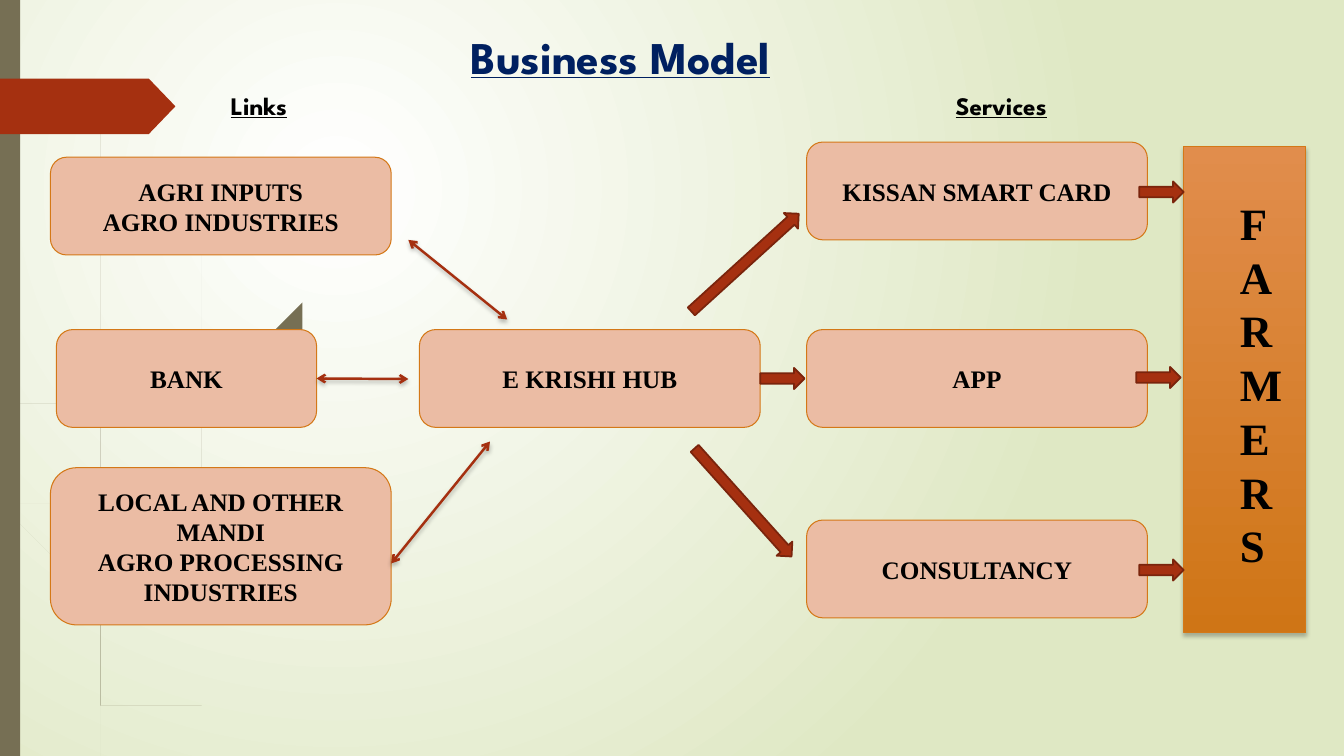
from lxml.etree import SubElement
from pptx import Presentation
from pptx.dml.color import RGBColor
from pptx.enum.shapes import MSO_CONNECTOR as Connector, MSO_SHAPE as Shape
from pptx.enum.text import MSO_ANCHOR as Anchor, PP_ALIGN as Align
from pptx.oxml.ns import qn
from pptx.util import Inches, Pt

COLORS = {
    "olive": "766F54", "rust": "A53010", "rust_edge": "7A240C", "navy": "002060",
    "black": "000000", "peach": "EBBCA4", "orange_edge": "D47817",
    "orange_top": "E18D4C", "orange_bottom": "CF7516",
    "white": "FFFFFF", "pale_green": "DFE8C4",
}
HEADING_FONT, BODY_FONT = "League Spartan", "Times New Roman"
BOX_WIDTH, BOX_HEIGHT = 3.38, 0.97
ARROW_WIDTH, ARROW_HEIGHT = 0.44, 0.21

# Each stem: points down its left edge, then points down its right edge
PALE_STEMS = [
    ([(0, 2.99), (0.11, 3.5), (0.28, 4.7), (0.65, 6.21), (0.92, 6.93), (1.14, 7.5)],
     [(0, 2.82), (0.09, 3.22), (0.17, 3.76), (0.31, 4.69), (0.7, 6.19), (0.93, 6.83),
      (1.05, 7.11), (1.24, 7.5)]),
    ([(0.14, 3.45), (0.17, 3.76), (0.58, 5.22), (0.84, 5.99), (1.23, 6.94), (1.5, 7.5)],
     [(0.14, 3.45), (0.62, 5.2), (0.92, 6.07), (1.27, 6.92), (1.55, 7.5)]),
    ([(3.12, 1.53), (2.68, 1.97), (2.28, 2.44), (1.58, 3.48), (1.07, 4.61), (0.85, 5.84),
      (0.87, 6.46), (0.93, 6.83), (1.05, 7.11)],
     [(3.12, 1.54), (2.68, 1.98), (2.29, 2.45), (1.6, 3.49), (1.1, 4.62), (0.88, 5.84),
      (0.91, 6.46), (1.05, 7.11)]),
]
DARK_STEMS = [
    ([(0.03, 0), (0.07, 1.1), (0.17, 2.33), (0.33, 3.55), (0.57, 4.77), (0.68, 5.57),
      (0.93, 6.59), (1.17, 7.22), (1.27, 7.49)],
     [(0.04, 0), (0.08, 1.09), (0.19, 2.32), (0.36, 3.55), (0.55, 4.53), (0.72, 5.56),
      (0.98, 6.57), (1.22, 7.19), (1.36, 7.49)]),
    ([(0.7, 1.41), (0.62, 1.93), (0.56, 2.45), (0.52, 3.49), (0.55, 4.49), (0.64, 5.05),
      (0.88, 5.92), (1.06, 6.45), (1.32, 7.08), (1.52, 7.49)],
     [(0.7, 1.41), (0.63, 1.93), (0.58, 2.45), (0.54, 3.49), (0.6, 4.72), (0.93, 5.9),
      (1.1, 6.41), (1.36, 7.06), (1.57, 7.49)]),
    ([(2.6, 3.44), (2.04, 4.05), (1.56, 4.74), (1.22, 5.51), (1.06, 6.31), (1.1, 6.91),
      (1.22, 7.19)],
     [(2.61, 3.44), (2.05, 4.06), (1.58, 4.76), (1.25, 5.52), (1.11, 6.33), (1.11, 6.56),
      (1.22, 7.19)]),
]


def rgb(name):
    return RGBColor.from_string(COLORS[name])


def set_text(frame, text, size=18, font=BODY_FONT, color="black", underline=False,
             align=Align.CENTER, anchor=Anchor.TOP, wrap=True):
    frame.word_wrap = wrap
    frame.vertical_anchor = anchor
    frame.text = text
    for paragraph in frame.paragraphs:
        paragraph.alignment = align
        style = paragraph.runs[0].font
        style.name, style.size = font, Pt(size)
        style.bold, style.underline = True, underline
        style.color.rgb = rgb(color)


def paint(shape, fill, line=None, line_width=0.75):
    shape.shadow.inherit = False
    shape.fill.solid()
    shape.fill.fore_color.rgb = rgb(fill)
    if line:
        shape.line.color.rgb = rgb(line)
        shape.line.width = Pt(line_width)
    else:
        shape.line.fill.background()


def paint_gradient(fill, start, end):
    fill.gradient()
    for stop, color, position in zip(fill.gradient_stops, (start, end), (0, 1)):
        stop.color.rgb = rgb(color)
        stop.position = position


def add_soft_shadow(properties):
    effects = properties.find(qn("a:effectLst"))
    if effects is None:
        effects = SubElement(properties, qn("a:effectLst"))
    shadow = SubElement(effects, qn("a:outerShdw"), blurRad="38100", dist="25400",
                        dir="5400000", rotWithShape="0")
    color = SubElement(shadow, qn("a:srgbClr"), val=COLORS["black"])
    SubElement(color, qn("a:alpha"), val="25000")


def add_preset(slide, kind, left, top, width, height):
    return slide.shapes.add_shape(kind, Inches(left), Inches(top), Inches(width), Inches(height))


def smooth(points, steps=8):
    """Return a Catmull-Rom curve through the points."""
    padded = [points[0], *points, points[-1]]
    curve = [points[0]]
    for a, b, c, d in zip(padded, padded[1:], padded[2:], padded[3:]):
        for step in range(1, steps + 1):
            t = step / steps
            curve.append(tuple(
                (2 * q + (r - p) * t + (2 * p - 5 * q + 4 * r - s) * t ** 2
                 + (3 * q - p - 3 * r + s) * t ** 3) / 2
                for p, q, r, s in zip(a, b, c, d)))
    return curve


def add_stem(slide, left_edge, right_edge, opacity=None):
    outline = smooth(left_edge) + smooth(right_edge)[::-1]
    builder = slide.shapes.build_freeform(*outline[0], scale=Inches(1))
    builder.add_line_segments(outline[1:], close=True)
    stem = builder.convert_to_shape()
    paint(stem, "olive")
    if opacity:
        color = stem.element.spPr.find(qn("a:solidFill")).find(qn("a:srgbClr"))
        SubElement(color, qn("a:alpha"), val=str(opacity * 1000))


def add_backdrop(slide):
    paint_gradient(slide.background.fill, "white", "pale_green")
    linear = next(slide.element.iter(qn("a:lin")))
    gradient = linear.getparent()
    gradient.remove(linear)
    circle = SubElement(gradient, qn("a:path"), path="circle")
    SubElement(circle, qn("a:fillToRect"), l="50000", t="50000", r="100000", b="100000")
    for edges in PALE_STEMS:
        add_stem(slide, *edges, opacity=20)
    for edges in DARK_STEMS:
        add_stem(slide, *edges)
    paint(add_preset(slide, Shape.RECTANGLE, 0, 0, 0.2, 7.5), "olive")
    tag = add_preset(slide, Shape.PENTAGON, 0, 0.78, 1.74, 0.55)
    tag.adjustments[0] = 0.48
    paint(tag, "rust")


def add_text_box(slide, text, left, top, width, height, **style):
    box = slide.shapes.add_textbox(Inches(left), Inches(top), Inches(width), Inches(height))
    set_text(box.text_frame, text, **style)


def add_headings(slide):
    title = slide.shapes.title
    title.left, title.top = Inches(1.28), Inches(0.24)
    title.width, title.height = Inches(9.75), Inches(0.61)
    set_text(title.text_frame, "Business Model", size=32.4, font=HEADING_FONT,
             color="navy", underline=True)
    for text, left, width in (("Links", 2.19, 0.78), ("Services", 9.38, 1.21)):
        add_text_box(slide, text, left, 0.85, width, 0.4, font=HEADING_FONT,
                     underline=True, align=Align.LEFT, wrap=False)


def add_box(slide, text, left, top, width=BOX_WIDTH, height=BOX_HEIGHT):
    box = add_preset(slide, Shape.ROUNDED_RECTANGLE, left, top, width, height)
    paint(box, "peach", "orange_edge")
    set_text(box.text_frame, text, anchor=Anchor.MIDDLE)
    return box


def add_block_arrow(slide, left, top, width=ARROW_WIDTH, rotation=0):
    arrow = add_preset(slide, Shape.RIGHT_ARROW, left, top, width, ARROW_HEIGHT)
    arrow.rotation = rotation
    paint(arrow, "rust", "rust_edge", 1.25)


def add_two_way_arrow(slide, start, end, start_box=None):
    arrow = slide.shapes.add_connector(Connector.STRAIGHT, *map(Inches, start + end))
    if start_box:
        arrow.begin_connect(start_box, 3)
    arrow.line.color.rgb = rgb("rust")
    arrow.line.width = Pt(1.75)
    properties = arrow.element.spPr
    for tag in ("a:headEnd", "a:tailEnd"):
        SubElement(properties.find(qn("a:ln")), qn(tag), type="arrow")
    add_soft_shadow(properties)


def add_links(slide, left):
    add_box(slide, "AGRI INPUTS\nAGRO INDUSTRIES", left, 1.56)
    add_box(slide, "LOCAL AND OTHER MANDI\nAGRO PROCESSING INDUSTRIES", left, 4.64, height=1.56)
    bank = add_box(slide, "BANK", left + 0.06, 3.27, width=2.58)
    add_two_way_arrow(slide, (4.05, 2.38), (5.03, 3.17))
    add_two_way_arrow(slide, (3.88, 5.59), (4.86, 4.38))
    add_two_way_arrow(slide, (3.14, 3.76), (4.05, 3.76), bank)


def add_hub(slide, left, top):
    add_box(slide, "E KRISHI HUB", left, top)
    add_block_arrow(slide, left + BOX_WIDTH, top + 0.38)
    add_block_arrow(slide, 6.67, 2.5, width=1.44, rotation=317.7)
    add_block_arrow(slide, 6.65, 4.88, width=1.44, rotation=48.1)


def add_services(slide, left):
    for text, top in (("KISSAN SMART CARD", 1.41), ("APP", 3.27), ("CONSULTANCY", 5.16)):
        add_box(slide, text, left, top)


def add_farmers(slide, left, top):
    panel = add_preset(slide, Shape.RECTANGLE, left, top, 1.21, 4.83)
    paint(panel, "orange_top", "orange_edge")
    paint_gradient(panel.fill, "orange_top", "orange_bottom")
    panel.fill.gradient_angle = 270
    add_soft_shadow(panel.element.spPr)
    add_text_box(slide, "FARMERS", left + 0.46, top + 0.44, 0.35, 3.87, size=32)
    for arrow_left, arrow_top in ((11.3, 1.8), (11.27, 3.64), (11.3, 5.55)):
        add_block_arrow(slide, arrow_left, arrow_top)


def main():
    presentation = Presentation()
    presentation.slide_width, presentation.slide_height = Inches(13.33), Inches(7.5)
    slide = presentation.slides.add_slide(presentation.slide_layouts[5])
    add_backdrop(slide)
    add_headings(slide)
    add_links(slide, 0.5)
    add_hub(slide, 4.16, 3.27)
    add_services(slide, 8)
    add_farmers(slide, 11.74, 1.45)
    presentation.save("out.pptx")


if __name__ == "__main__":
    main()
